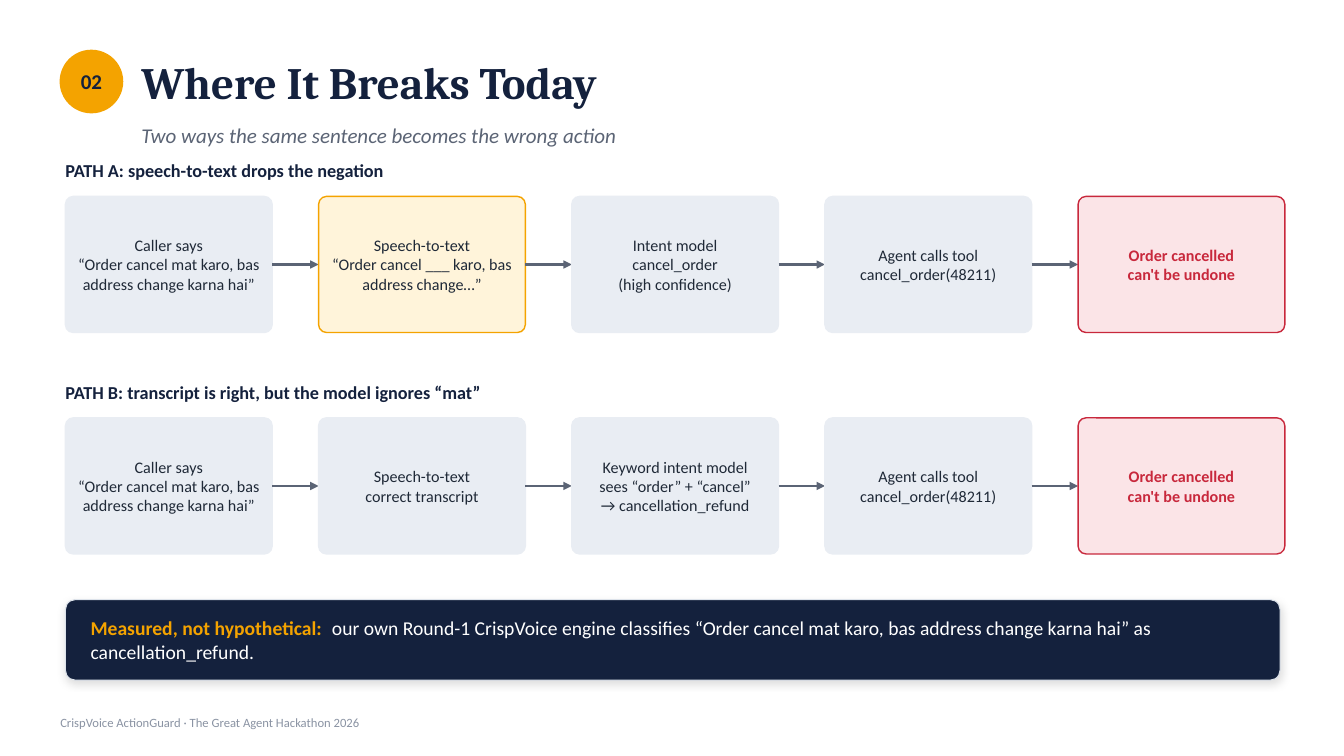
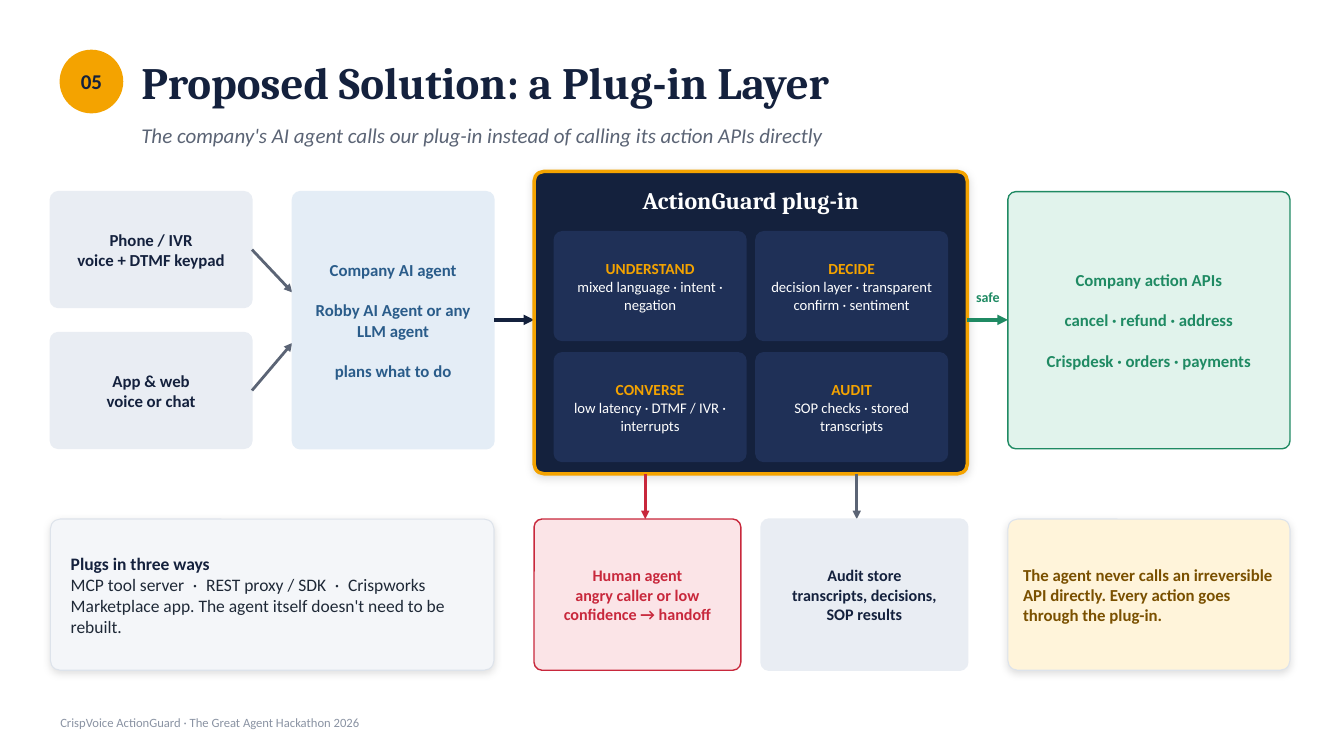
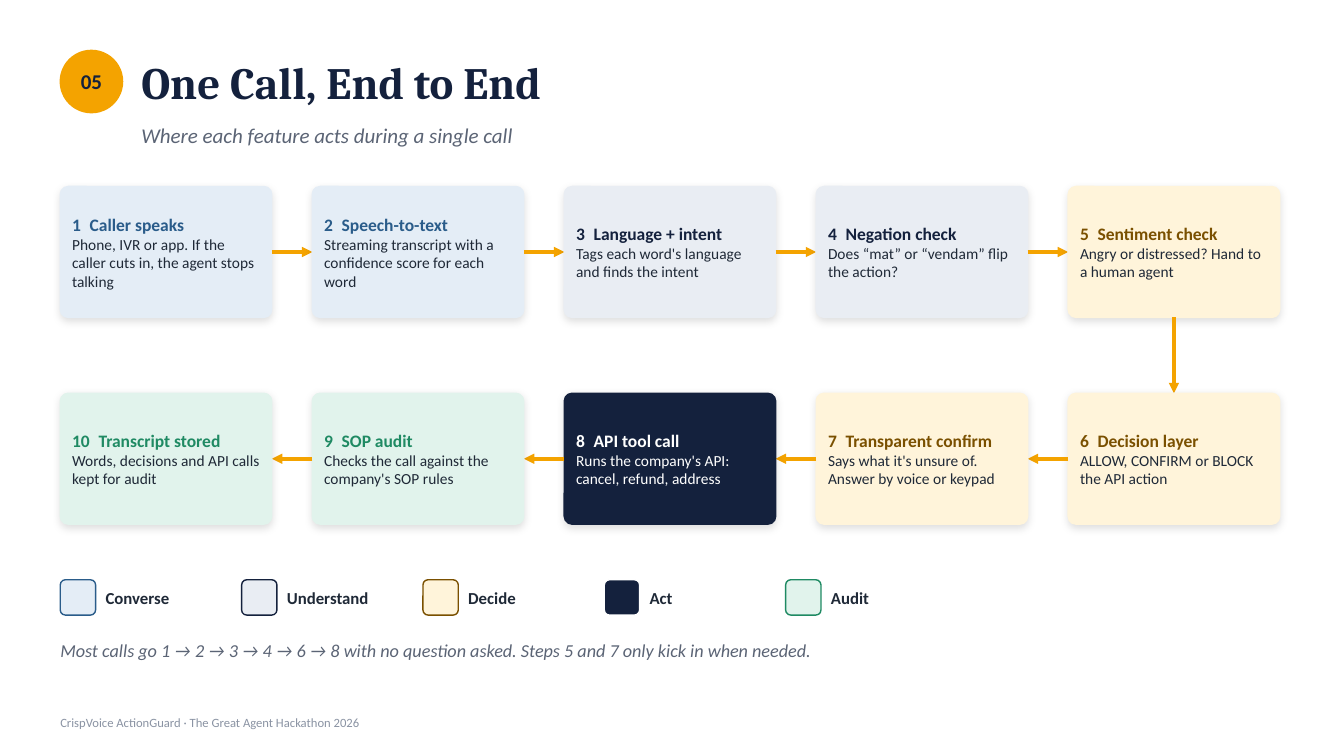
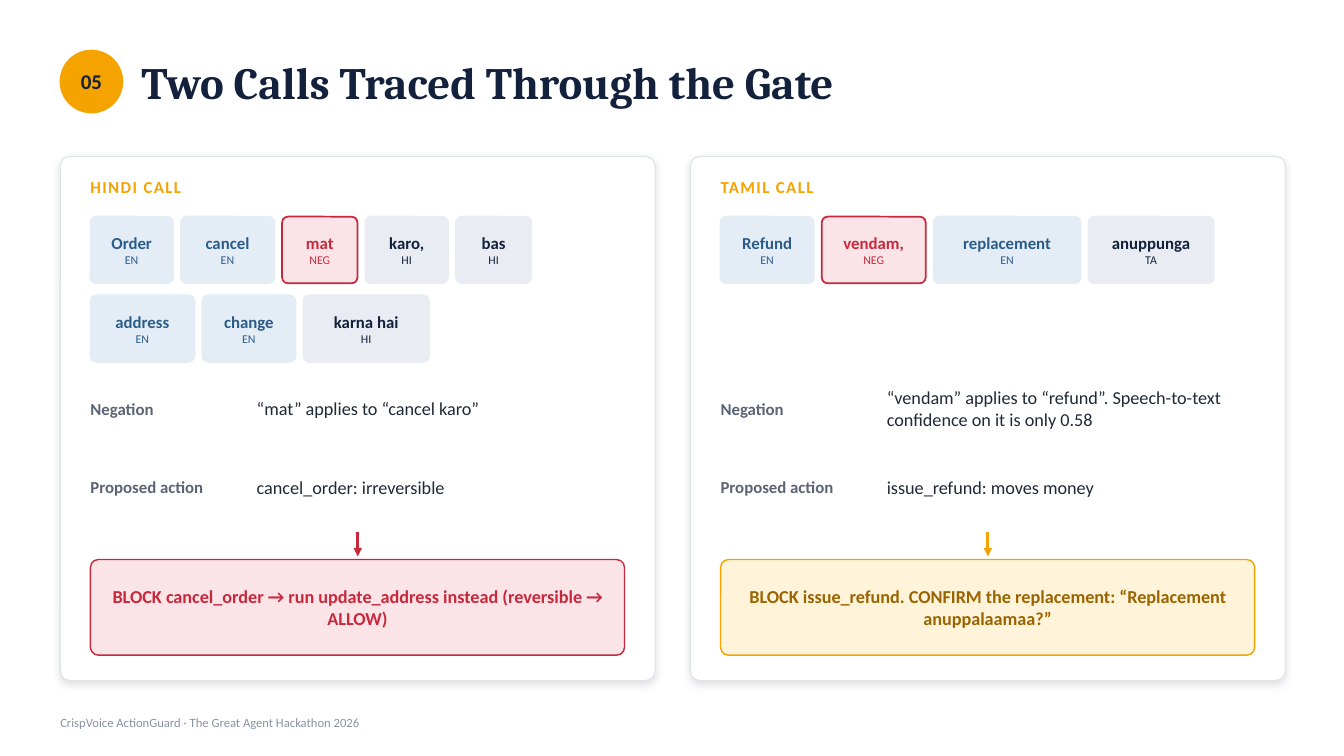
from dataclasses import dataclass, replace

from lxml import etree
from pptx import Presentation
from pptx.dml.color import RGBColor
from pptx.enum.shapes import MSO_CONNECTOR, MSO_SHAPE
from pptx.enum.text import MSO_ANCHOR, MSO_AUTO_SIZE, PP_ALIGN
from pptx.oxml.ns import qn
from pptx.util import Cm, Pt

COLORS = {
    "white": "FFFFFF", "navy": "14213D", "indigo": "1F3057", "ink": "1F2937",
    "slate": "5B6475", "muted": "8A93A3", "border": "DDE3EB", "paper": "F4F6F9",
    "grey": "E9EDF3", "amber": "F4A300", "cream": "FFF4DA", "brown": "7A5000",
    "ochre": "9A6400", "red": "C8283C", "pink": "FBE4E7", "blue": "2A5C8A",
    "sky": "E4EDF6", "green": "1F8A63", "mint": "E1F3EC",
}
FOOTER = "CrispVoice ActionGuard · The Great Agent Hackathon 2026"
LEFT, CENTER = PP_ALIGN.LEFT, PP_ALIGN.CENTER
MARGIN = 1.52
BOX_RADIUS, CARD_RADIUS = 0.2, 0.25


@dataclass(frozen=True)
class Style:
    """Look of a run of text."""
    size: float
    color: str = "ink"
    bold: bool = False
    italic: bool = False
    font: str = "Calibri"
    tracking: int = 0


TITLE = Style(32, "navy", bold=True, font="Cambria")
SUBTITLE = Style(15, "slate", italic=True)
BODY = Style(11.5)
STRONG = Style(12, "navy", bold=True)


def rgb(name):
    """Return the palette colour with this name."""
    return RGBColor.from_string(COLORS[name])


def lines(style, *texts):
    """Return one paragraph in the same style for each text."""
    return [[(text, style)] for text in texts]


def write(frame, paragraphs, align=LEFT, pad=0.0, pad_y=0.0, gap=0.0):
    """Fill a text frame with paragraphs, each a list of (text, style) runs."""
    frame.word_wrap = True
    frame.auto_size = MSO_AUTO_SIZE.NONE
    frame.vertical_anchor = MSO_ANCHOR.MIDDLE
    frame.margin_left = frame.margin_right = Cm(pad)
    frame.margin_top = frame.margin_bottom = Cm(pad_y)
    for index, runs in enumerate(paragraphs):
        paragraph = frame.paragraphs[0] if index == 0 else frame.add_paragraph()
        paragraph.alignment = align
        paragraph.space_before = Pt(gap if index else 0)
        for text, style in runs:
            run = paragraph.add_run()
            run.text = text
            font = run.font
            font.name, font.size = style.font, Pt(style.size)
            font.bold, font.italic = style.bold, style.italic
            font.color.rgb = rgb(style.color)
            if style.tracking:
                font._element.set("spc", str(style.tracking))


def label(slide, x, y, w, h, text, style, align=LEFT):
    """Add a one-paragraph text box."""
    box = slide.shapes.add_textbox(Cm(x), Cm(y), Cm(w), Cm(h))
    write(box.text_frame, lines(style, text), align)


def cast_shadow(shape):
    """Give a shape a soft shadow below it."""
    effects = shape._element.spPr.find(qn("a:effectLst"))
    shadow = etree.SubElement(effects, qn("a:outerShdw"), blurRad="76200",
                              dist="25400", dir="5400000", algn="t", rotWithShape="0")
    color = etree.SubElement(shadow, qn("a:srgbClr"), val="000000")
    etree.SubElement(color, qn("a:alpha"), val="12000")


def box(slide, x, y, w, h, fill, line=None, paragraphs=(), align=CENTER, pad=0.2,
        gap=0.0, width=1.0, radius=BOX_RADIUS, shadow=False, kind=MSO_SHAPE.ROUNDED_RECTANGLE):
    """Add a filled shape, with rounded corners of a fixed radius, and its text."""
    shape = slide.shapes.add_shape(kind, Cm(x), Cm(y), Cm(w), Cm(h))
    if kind == MSO_SHAPE.ROUNDED_RECTANGLE:
        shape.adjustments[0] = radius / min(w, h)
    shape.fill.solid()
    shape.fill.fore_color.rgb = rgb(fill)
    shape.line.color.rgb = rgb(line or fill)
    shape.line.width = Pt(width)
    shape.shadow.inherit = False
    if shadow:
        cast_shadow(shape)
    write(shape.text_frame, paragraphs, align, pad, gap=gap)


def card(slide, x, y, w, h, fill, paragraphs=(), pad=0.0):
    """Add a bordered card with a shadow and left-aligned text."""
    box(slide, x, y, w, h, fill, "border", paragraphs, LEFT, pad,
        width=0.75, radius=CARD_RADIUS, shadow=True)


def arrow(slide, x1, y1, x2, y2, color="slate", width=2.0):
    """Add a straight arrow."""
    connector = slide.shapes.add_connector(
        MSO_CONNECTOR.STRAIGHT, Cm(x1), Cm(y1), Cm(x2), Cm(y2))
    connector.line.color.rgb = rgb(color)
    connector.line.width = Pt(width)
    line = connector.line._get_or_add_ln()
    etree.SubElement(line, qn("a:tailEnd"), type="triangle")
    etree.SubElement(connector._element.spPr, qn("a:effectLst"))


def place(placeholder, x, y, w, h, text, style):
    """Move a placeholder and write its text without a bullet."""
    placeholder.left, placeholder.top = Cm(x), Cm(y)
    placeholder.width, placeholder.height = Cm(w), Cm(h)
    write(placeholder.text_frame, lines(style, text))
    properties = placeholder.text_frame.paragraphs[0]._p.get_or_add_pPr()
    properties.set("marL", "0")
    properties.set("indent", "0")
    etree.SubElement(properties, qn("a:buNone"))


def new_slide(prs, number, title, subtitle=None):
    """Add a slide with its number badge, title, optional subtitle and footer."""
    slide = prs.slides.add_slide(prs.slide_layouts[1 if subtitle else 5])
    box(slide, MARGIN, 1.27, 1.57, 1.57, "amber", paragraphs=lines(replace(STRONG, size=15), number),
        pad=0, kind=MSO_SHAPE.OVAL)
    place(slide.shapes.title, 3.56, 1.07, 28.7, 1.98, title, TITLE)
    if subtitle:
        place(slide.placeholders[1], 3.56, 2.9, 28.7, 1.02, subtitle, SUBTITLE)
    label(slide, MARGIN, 17.83, 20.32, 0.76, FOOTER, Style(9, "muted"))
    return slide


def failure_path(slide, y, heading, steps):
    """Add a headed row of boxes joined by arrows, ending in the wrong action."""
    left, pitch, w, h = 1.65, 6.38, 5.21, 3.43
    label(slide, left, y, 25.4, 0.81, heading, Style(13, "navy", bold=True))
    top = y + 1.06
    outcome = ("pink", "red", ["Order cancelled", "can't be undone"])
    for index, (fill, line, texts) in enumerate(steps + [outcome]):
        x = left + index * pitch
        style = Style(11.5, "red", bold=True) if line == "red" else BODY
        if index:
            arrow(slide, x - pitch + w, top + h / 2, x, top + h / 2)
        box(slide, x, top, w, h, fill, line, lines(style, *texts))


def breaks_slide(prs):
    """Build the slide on the two ways a call fails."""
    slide = new_slide(prs, "02", "Where It Breaks Today",
                      "Two ways the same sentence becomes the wrong action")
    caller = ("grey", None, ["Caller says", "“Order cancel mat karo, bas address change karna hai”"])
    tool = ("grey", None, ["Agent calls tool", "cancel_order(48211)"])
    failure_path(slide, 3.89, "PATH A: speech-to-text drops the negation", [
        caller,
        ("cream", "amber", ["Speech-to-text", "“Order cancel ___ karo, bas address change…”"]),
        ("grey", None, ["Intent model", "cancel_order", "(high confidence)"]),
        tool,
    ])
    failure_path(slide, 9.47, "PATH B: transcript is right, but the model ignores “mat”", [
        caller,
        ("grey", None, ["Speech-to-text", "correct transcript"]),
        ("grey", None, ["Keyword intent model", "sees “order” + “cancel”", "→ cancellation_refund"]),
        tool,
    ])
    card(slide, 1.65, 15.11, 30.61, 2.03, "navy", [[
        ("Measured, not hypothetical:\u2002", Style(14, "amber", bold=True)),
        ("our own Round-1 CrispVoice engine classifies “Order cancel mat karo, bas address "
         "change karna hai” as cancellation_refund.", Style(14, "white")),
    ]], pad=0.56)


def guard_panel(slide, x, y):
    """Add the plug-in panel with its two-by-two grid of modules."""
    box(slide, x, y, 10.92, 7.62, "navy", "amber", width=2.5, radius=CARD_RADIUS, shadow=True)
    label(slide, x, y + 0.2, 10.92, 1.02, "ActionGuard plug-in",
          Style(17, "white", bold=True, font="Cambria"), CENTER)
    modules = [
        ("UNDERSTAND", "mixed language · intent · negation"),
        ("DECIDE", "decision layer · transparent confirm · sentiment"),
        ("CONVERSE", "low latency · DTMF / IVR · interrupts"),
        ("AUDIT", "SOP checks · stored transcripts"),
    ]
    for index, (name, detail) in enumerate(modules):
        row, column = divmod(index, 2)
        text = lines(Style(11, "amber", bold=True), name) + lines(Style(10.5, "white"), detail)
        box(slide, x + 0.51 + column * 5.08, y + 1.52 + row * 3.05, 4.83, 2.74, "indigo",
            paragraphs=text, pad=0.14)


def solution_slide(prs):
    """Build the slide on the plug-in architecture."""
    slide = new_slide(prs, "05", "Proposed Solution: a Plug-in Layer",
                      "The company's AI agent calls our plug-in instead of calling its action APIs directly")
    channels, agent, guard, apis = 1.27, 7.37, 13.46, 25.4
    top, flow, bottom = 4.83, 8.06, 13.08
    box(slide, channels, top, 5.08, 2.92, "grey",
        paragraphs=lines(STRONG, "Phone / IVR", "voice + DTMF keypad"))
    box(slide, channels, 8.38, 5.08, 2.92, "grey",
        paragraphs=lines(STRONG, "App & web", "voice or chat"))
    arrow(slide, 6.35, 6.29, agent, 7.37)
    arrow(slide, 6.35, 9.84, agent, 8.64)
    box(slide, agent, top, 5.08, 6.48, "sky", gap=14.6, paragraphs=lines(
        replace(STRONG, color="blue"), "Company AI agent", "Robby AI Agent or any LLM agent", "plans what to do"))
    arrow(slide, 12.45, flow, guard, flow, "navy", 2.5)
    guard_panel(slide, guard, 4.32)
    arrow(slide, 24.38, flow, apis, flow, "green", 2.5)
    label(slide, 24.26, 7.11, 1.27, 0.76, "safe", Style(10, "green", bold=True), CENTER)
    box(slide, apis, top, 7.11, 6.48, "mint", "green", gap=14.6, paragraphs=lines(
        replace(STRONG, color="green"), "Company action APIs", "cancel · refund · address",
        "Crispdesk · orders · payments"))
    arrow(slide, 16.26, 11.94, 16.26, bottom, "red")
    arrow(slide, 21.59, 11.94, 21.59, bottom)
    box(slide, guard, bottom, 5.21, 3.81, "pink", "red", lines(
        Style(11.5, "red", bold=True), "Human agent", "angry caller or low", "confidence → handoff"))
    box(slide, 19.18, bottom, 5.21, 3.81, "grey", paragraphs=lines(
        Style(11.5, "navy", bold=True), "Audit store", "transcripts, decisions,", "SOP results"))
    card(slide, channels, bottom, 11.18, 3.81, "paper",
         lines(Style(12.5, "navy", bold=True), "Plugs in three ways")
         + lines(Style(12.5), "MCP tool server\u2002·\u2002REST proxy / SDK\u2002·\u2002Crispworks Marketplace app. "
                              "The agent itself doesn't need to be rebuilt."), pad=0.44)
    card(slide, apis, bottom, 7.11, 3.81, "cream", lines(
        replace(STRONG, color="brown"),
        "The agent never calls an irreversible API directly. Every action goes through the plug-in."), pad=0.31)


def call_slide(prs):
    """Build the slide that follows a call through ten steps."""
    slide = new_slide(prs, "05", "One Call, End to End", "Where each feature acts during a single call")
    stages = {
        "Converse": ("sky", "blue"), "Understand": ("grey", "navy"), "Decide": ("cream", "brown"),
        "Act": ("navy", "white"), "Audit": ("mint", "green"),
    }
    steps = [
        ("Converse", "Caller speaks", "Phone, IVR or app. If the caller cuts in, the agent stops talking"),
        ("Converse", "Speech-to-text", "Streaming transcript with a confidence score for each word"),
        ("Understand", "Language + intent", "Tags each word's language and finds the intent"),
        ("Understand", "Negation check", "Does “mat” or “vendam” flip the action?"),
        ("Decide", "Sentiment check", "Angry or distressed? Hand to a human agent"),
        ("Decide", "Decision layer", "ALLOW, CONFIRM or BLOCK the API action"),
        ("Decide", "Transparent confirm", "Says what it's unsure of. Answer by voice or keypad"),
        ("Act", "API tool call", "Runs the company's API: cancel, refund, address"),
        ("Audit", "SOP audit", "Checks the call against the company's SOP rules"),
        ("Audit", "Transcript stored", "Words, decisions and API calls kept for audit"),
    ]
    w, h, pitch, top, drop = 5.33, 3.3, 6.35, 4.7, 5.21
    for index, (stage, name, detail) in enumerate(steps):
        row, column = divmod(index, 5)
        x = MARGIN + (4 - column if row else column) * pitch
        y = top + row * drop
        fill, accent = stages[stage]
        text = (lines(Style(12.5, accent, bold=True), f"{index + 1}\u2002{name}")
                + lines(Style(11, "white" if stage == "Act" else "ink"), detail))
        box(slide, x, y, w, h, fill, paragraphs=text, align=LEFT, pad=0.24, shadow=True)
        middle = y + h / 2
        if index < 4:
            arrow(slide, x + w, middle, x + pitch, middle, "amber", 2.5)
        elif index == 4:
            arrow(slide, x + w / 2, y + h, x + w / 2, y + drop, "amber", 2.5)
        elif index < 9:
            arrow(slide, x, middle, x - pitch + w, middle, "amber", 2.5)
    for index, (stage, (fill, accent)) in enumerate(stages.items()):
        x = MARGIN + index * 4.57
        box(slide, x, 14.61, 0.89, 0.89, fill, accent, radius=0.13)
        label(slide, x + 1.14, 14.61, 3.3, 0.89, stage, replace(STRONG, color="ink"))
    label(slide, MARGIN, 15.88, 30.73, 1.02,
          "Most calls go 1 → 2 → 3 → 4 → 6 → 8 with no question asked. Steps 5 and 7 only kick in when needed.",
          Style(13, "slate", italic=True))


def word_chips(slide, x, y, words):
    """Add a row of tagged words, each chip as wide as its word needs."""
    for word, tag in words:
        fill, line, color = {"EN": ("sky", None, "blue"), "NEG": ("pink", "red", "red")}.get(
            tag, ("grey", None, "navy"))
        w = max(1.9, 0.73 + 0.27 * len(word))
        text = lines(replace(STRONG, color=color), word) + lines(Style(8.5, color), tag)
        box(slide, x, y, w, 1.68, fill, line, text, pad=0, width=1.25, radius=0.15)
        x += w + 0.2


def traced_call(slide, x, heading, chip_rows, facts, verdict, fill, accent, text_color):
    """Add a card that traces a call from its words to the verdict."""
    w, inner = 14.99, x + 0.76
    card(slide, x, 3.94, w, 13.21, "white")
    label(slide, inner, 4.32, 7.62, 0.76, heading, replace(STRONG, color="amber", tracking=100))
    for row, words in enumerate(chip_rows):
        word_chips(slide, inner, 5.46 + row * 1.98, words)
    for row, (name, value) in enumerate(facts):
        y = 9.53 + row * 1.98
        label(slide, inner, y, 4.06, 1.52, name, replace(STRONG, color="slate"))
        label(slide, inner + 4.19, y, 9.27, 1.52, value, Style(13))
    arrow(slide, x + w / 2, 13.41, x + w / 2, 14.02, accent)
    box(slide, inner, 14.1, 13.46, 2.41, fill, accent, lines(Style(13, text_color, bold=True), verdict))


def trace_slide(prs):
    """Build the slide that compares two traced calls."""
    slide = new_slide(prs, "05", "Two Calls Traced Through the Gate")
    traced_call(
        slide, MARGIN, "HINDI CALL",
        [[("Order", "EN"), ("cancel", "EN"), ("mat", "NEG"), ("karo,", "HI"), ("bas", "HI")],
         [("address", "EN"), ("change", "EN"), ("karna hai", "HI")]],
        [("Negation", "“mat” applies to “cancel karo”"),
         ("Proposed action", "cancel_order: irreversible")],
        "BLOCK cancel_order → run update_address instead (reversible → ALLOW)", "pink", "red", "red")
    traced_call(
        slide, 17.4, "TAMIL CALL",
        [[("Refund", "EN"), ("vendam,", "NEG"), ("replacement", "EN"), ("anuppunga", "TA")]],
        [("Negation", "“vendam” applies to “refund”. Speech-to-text confidence on it is only 0.58"),
         ("Proposed action", "issue_refund: moves money")],
        "BLOCK issue_refund. CONFIRM the replacement: “Replacement anuppalaamaa?”",
        "cream", "amber", "ochre")


def main():
    """Build and save the presentation."""
    prs = Presentation()
    prs.slide_width, prs.slide_height = Cm(33.87), Cm(19.05)
    for build in (breaks_slide, solution_slide, call_slide, trace_slide):
        build(prs)
    prs.save("out.pptx")


main()
